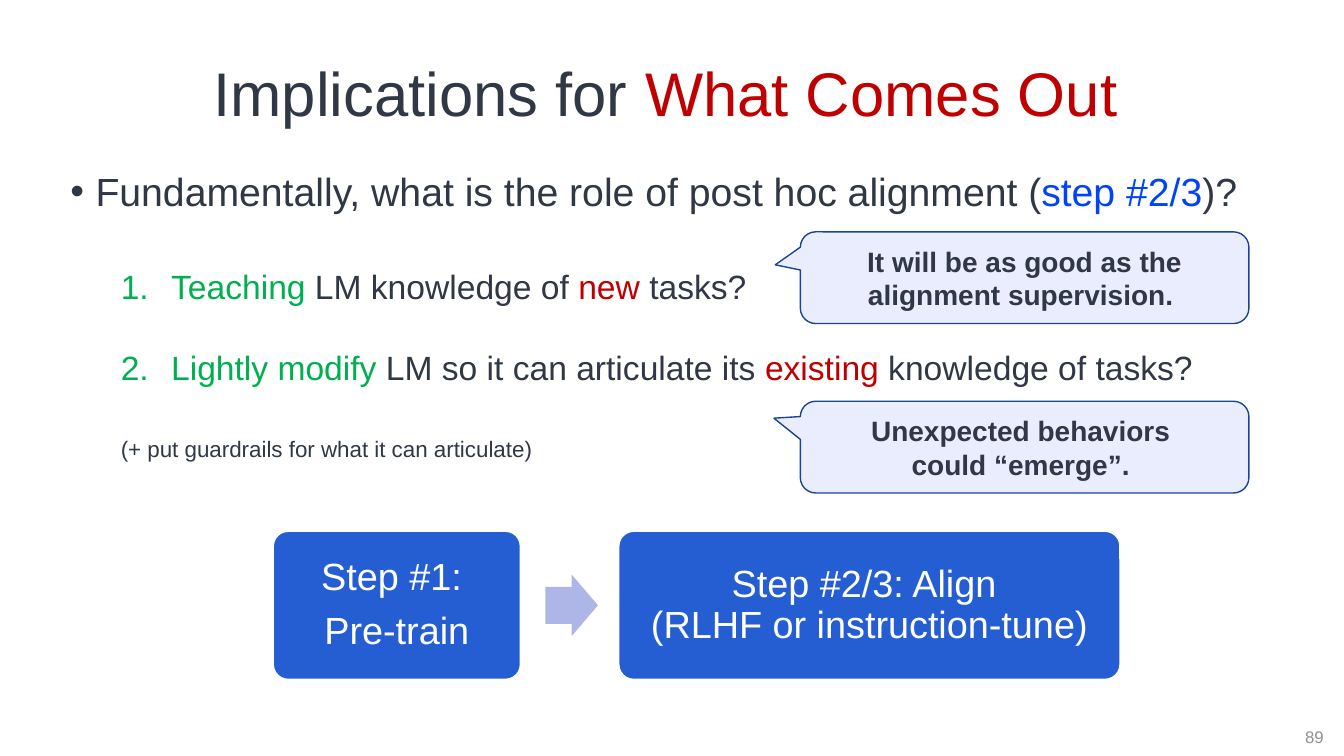
import lxml.etree
import pptx
import pptx.dml.color
import pptx.enum.shapes
import pptx.enum.text
import pptx.oxml.ns
import pptx.util

Pt = pptx.util.Pt
SHAPE = pptx.enum.shapes.MSO_SHAPE
ALIGN = pptx.enum.text.PP_ALIGN
INK, RED, GREEN, BLUE = "303845", "C00000", "00B050", "0044F9"
WHITE, STEP_FILL, ARROW_FILL = "FFFFFF", "255ED3", "ADB6E6"
CALLOUT_FILL, CALLOUT_LINE, GREY = "EAEDFD", "1A4595", "8F9194"


def rgb(color):
    return pptx.dml.color.RGBColor.from_string(color)


def add_bullet(p, tag, **attributes):
    pPr = p._p.get_or_add_pPr()
    font = lxml.etree.SubElement(pPr, pptx.oxml.ns.qn("a:buFont"))
    font.set("typeface", "Arial")
    bullet = lxml.etree.SubElement(pPr, pptx.oxml.ns.qn(tag))
    for name, value in attributes.items():
        bullet.set(name, value)


def write(p, *parts, size, color=INK, bold=False, align=ALIGN.LEFT,
          spacing=1.0, before=0, after=0):
    """Fill a paragraph; a part is text or (text, color), with line breaks as newlines."""
    p.alignment, p.line_spacing = align, spacing
    p.space_before, p.space_after = Pt(before), Pt(after)
    for part in parts:
        text, part_color = (part, color) if isinstance(part, str) else part
        for i, line in enumerate(text.split("\n")):
            if i:
                p.add_line_break()
            r = p.add_run()
            r.text = line
            r.font.name, r.font.size, r.font.bold = "Arial", Pt(size), bold
            r.font.color.rgb = rgb(part_color)


def set_frame(tf, margins=None, middle=True):
    tf.word_wrap = True
    tf.auto_size = pptx.enum.text.MSO_AUTO_SIZE.NONE
    anchors = pptx.enum.text.MSO_ANCHOR
    tf.vertical_anchor = anchors.MIDDLE if middle else anchors.TOP
    if margins is not None:
        tf.margin_left = tf.margin_right = Pt(margins)
        tf.margin_top = tf.margin_bottom = Pt(margins)
    return tf


def add_shape(s, kind, box, fill, line=None, adjust=()):
    sp = s.shapes.add_shape(kind, *map(Pt, box))
    sp.shadow.inherit = False
    sp.fill.solid()
    sp.fill.fore_color.rgb = rgb(fill)
    if line:
        sp.line.color.rgb = rgb(line)
        sp.line.width = Pt(1)
    else:
        sp.line.fill.background()
    for i, value in enumerate(adjust):
        sp.adjustments[i] = value
    return sp


def add_title(s, box):
    title = s.shapes.title
    title.left, title.top, title.width, title.height = map(Pt, box)
    write(set_frame(title.text_frame).paragraphs[0], "Implications for ",
          ("What Comes Out ", RED), size=44, align=ALIGN.CENTER, spacing=0.9)


def add_question(s, box):
    tf = set_frame(s.shapes.add_textbox(*map(Pt, box)).text_frame, middle=False)
    rows = [
        (["Fundamentally, what is the role of post hoc alignment (",
          ("step #2/3", BLUE), ")?"], 28, 0, 18, -18),
        ([("Teaching ", GREEN), "LM knowledge of ", ("new ", RED), "tasks?"],
         24, 40, 72, -36),
        ([("Lightly modify", GREEN), " LM so it can articulate its ",
          ("existing", RED), " knowledge of tasks?"], 24, 31.6, 72, -36),
        (["(+ put guardrails for what it can articulate)"], 16, 36, 36, 0),
    ]
    for i, (parts, size, before, left, indent) in enumerate(rows):
        p = tf.add_paragraph() if i else tf.paragraphs[0]
        p.level = 1 if i else 0
        pPr = p._p.get_or_add_pPr()
        pPr.set("marL", str(Pt(left)))
        pPr.set("indent", str(Pt(indent)))
        if i == 0:
            add_bullet(p, "a:buChar", char="•")
        elif indent:
            add_bullet(p, "a:buAutoNum", type="arabicPeriod")
        write(p, *parts, size=size, spacing=0.9, before=before)


def add_callout(s, box, text, tip):
    sp = add_shape(s, SHAPE.ROUNDED_RECTANGULAR_CALLOUT, box,
                   CALLOUT_FILL, CALLOUT_LINE, (*tip, 0.167))
    write(set_frame(sp.text_frame).paragraphs[0], text, size=20, bold=True,
          align=ALIGN.CENTER)


def add_step(s, box, *lines):
    sp = add_shape(s, SHAPE.ROUNDED_RECTANGLE, box, STEP_FILL, WHITE, (0.1,))
    tf = set_frame(sp.text_frame, margins=11.5)
    for i, line in enumerate(lines):
        p = tf.add_paragraph() if i else tf.paragraphs[0]
        write(p, line, size=27, color=WHITE, align=ALIGN.CENTER,
              spacing=0.9, after=9.45)


def add_process(s, box):
    left, top, width, height = box
    arrow_height, align_width = 44, 358
    add_step(s, (left, top, 176.5, height), "Step #1: ", "Pre-train")
    add_shape(s, SHAPE.RIGHT_ARROW,
              (left + 194.4, top + (height - arrow_height) / 2, 37.5, arrow_height),
              ARROW_FILL, adjust=(0.6, 0.5))
    add_step(s, (left + width - align_width, top, align_width, height),
             "Step #2/3: Align \n(RLHF or instruction-tune)")


def add_page_number(s, box, number):
    tf = set_frame(s.shapes.add_textbox(*map(Pt, box)).text_frame)
    write(tf.paragraphs[0], number, size=12, color=GREY, align=ALIGN.CENTER)


def main():
    prs = pptx.Presentation()
    prs.slide_width, prs.slide_height = Pt(960), Pt(540)
    s = prs.slides.add_slide(prs.slide_layouts[5])
    add_title(s, (15.8, 29.5, 931.7, 79.2))
    add_question(s, (43.2, 119.5, 885.6, 240))
    add_page_number(s, (918, 512, 41.8, 28.8), "89")
    add_process(s, (195.2, 379.5, 604.8, 105.8))
    callouts = [
        ("It will be as good as the alignment supervision. ", (-0.556, -0.14)),
        ("Unexpected behaviors \ncould “emerge”. ", (-0.559, -0.315)),
    ]
    for i, (text, tip) in enumerate(callouts):
        add_callout(s, (571.7, 165.6 + i * 121, 320.4, 65.5), text, tip)
    prs.save("out.pptx")


if __name__ == "__main__":
    main()
